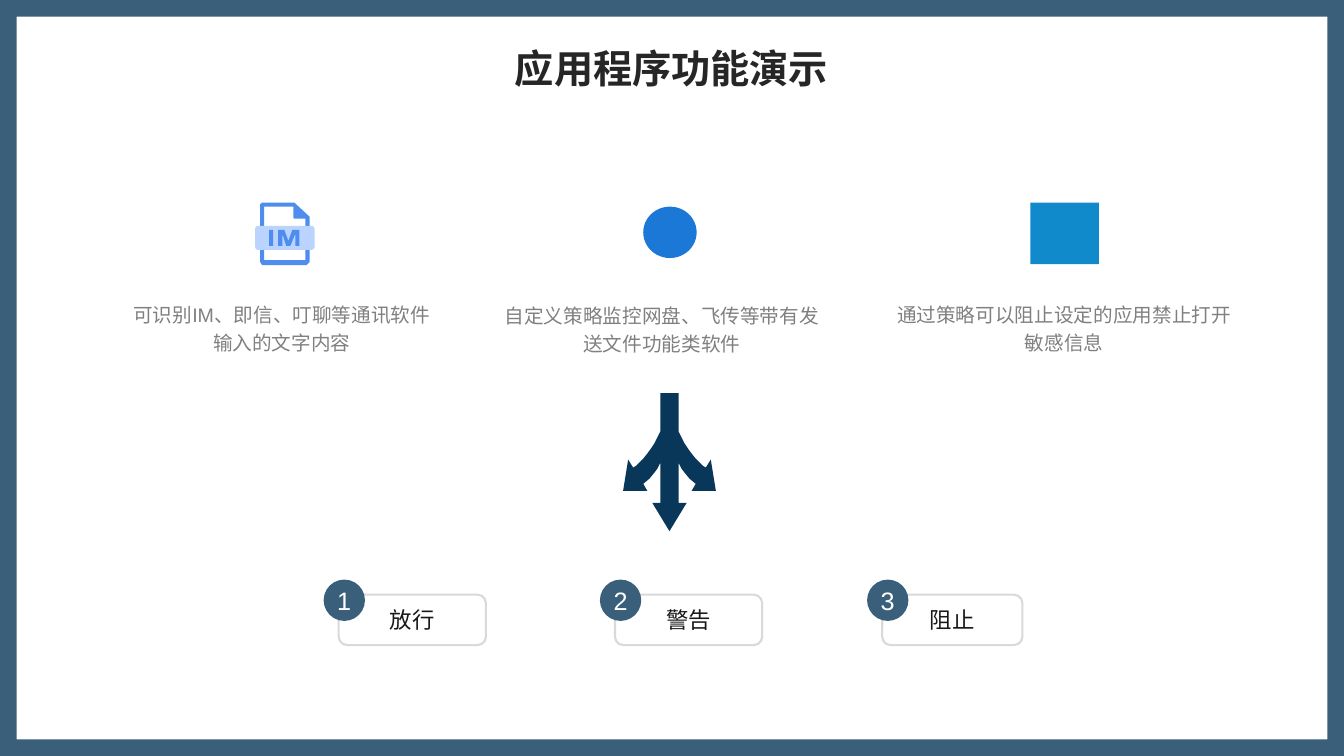
from lxml import etree
from pptx import Presentation
from pptx.dml.color import RGBColor
from pptx.enum import shapes, text
from pptx.oxml import ns
from pptx.util import Inches, Pt

SLATE = RGBColor(0x3A, 0x5F, 0x7A)
NAVY = RGBColor(0x09, 0x37, 0x59)
INK = RGBColor(0x26, 0x26, 0x26)
BLACK = RGBColor(0x18, 0x18, 0x18)
GREY = RGBColor(0x80, 0x80, 0x80)
RULE = RGBColor(0xD9, 0xD9, 0xD9)
WHITE = RGBColor(0xFF, 0xFF, 0xFF)
BLUE = RGBColor(0x4E, 0x8C, 0xEE)
PALE = RGBColor(0xBA, 0xD4, 0xFF)
ROYAL = RGBColor(0x1B, 0x78, 0xD7)
CYAN = RGBColor(0x11, 0x8A, 0xCB)

KIND = shapes.MSO_SHAPE
LATIN, HAN = "Arial", "Noto Sans CJK SC"

CAPTIONS = [
    (1.2, 2.91, 3.19, "可识别IM、即信、叮聊等通讯软件输入的文字内容"),
    (4.87, 2.92, 3.39, "自定义策略监控网盘、飞传等带有发送文件功能类软件"),
    (8.78, 2.91, 3.55, "通过策略可以阻止设定的应用禁止打开敏感信息"),
]
ACTIONS = [(3.36, 1.46, "放行"), (6.1, 1.46, "警告"), (8.75, 1.39, "阻止")]

PAGE = [
    [(2.62, 2.05), (2.91, 2.05), (2.91, 2.16), (2.92, 2.17), (3.03, 2.17),
     (3.03, 2.24), (3.07, 2.24), (3.07, 2.15), (2.93, 2.02), (2.92, 2.01),
     (2.6, 2.01), (2.58, 2.03), (2.58, 2.24), (2.62, 2.24)],
    [(3.03, 2.58), (2.62, 2.58), (2.62, 2.48), (2.58, 2.48), (2.58, 2.6),
     (2.6, 2.63), (3.04, 2.63), (3.07, 2.6), (3.07, 2.48), (3.03, 2.48)],
]
LETTERS = [
    [(2.67, 2.28), (2.71, 2.28), (2.71, 2.44), (2.67, 2.44)],
    [(2.86, 2.39), (2.82, 2.28), (2.76, 2.28), (2.76, 2.44), (2.8, 2.44),
     (2.8, 2.32), (2.84, 2.44), (2.88, 2.44), (2.93, 2.32), (2.93, 2.44),
     (2.97, 2.44), (2.97, 2.28), (2.9, 2.28)],
]

# Left half of the three-way arrow: distance from its axis, height
AXIS = 6.64
HALF = [
    (0.09, 3.9), (0.09, 4.28), (0.12, 4.34), (0.15, 4.4), (0.19, 4.46),
    (0.22, 4.5), (0.26, 4.55), (0.29, 4.58), (0.33, 4.62), (0.36, 4.64),
    (0.41, 4.56), (0.46, 4.87), (0.22, 4.87), (0.26, 4.8), (0.2, 4.75),
    (0.15, 4.69), (0.12, 4.65), (0.09, 4.59), (0.09, 4.99), (0.17, 4.99),
    (0, 5.27),
]


class Deck:
    def __init__(self):
        self.prs = Presentation()
        self.prs.slide_width = Inches(13.33)
        self.prs.slide_height = Inches(7.5)
        self.slide = self.prs.slides.add_slide(self.prs.slide_layouts[5])
        self.items = self.slide.shapes

    def place(self, item, x, y, w, h):
        item.left, item.top = Inches(x), Inches(y)
        item.width, item.height = Inches(w), Inches(h)

    def label(self, item, words, size, color, font=LATIN, bold=False,
              wrap=True, anchor=text.MSO_ANCHOR.MIDDLE):
        """Fill an item with one centred run and return its paragraph."""
        frame = item.text_frame
        frame.word_wrap = wrap
        frame.auto_size = text.MSO_AUTO_SIZE.NONE
        frame.vertical_anchor = anchor
        para = frame.paragraphs[0]
        para.alignment = text.PP_ALIGN.CENTER
        run = para.add_run()
        run.text = words
        run.font.size, run.font.bold = Pt(size), bold
        run.font.name = font
        run.font.color.rgb = color
        east = etree.SubElement(run._r.get_or_add_rPr(), ns.qn("a:ea"))
        east.set("typeface", HAN)
        return para

    def paint(self, item, fill, line=None):
        item.shadow.inherit = False
        item.fill.solid()
        item.fill.fore_color.rgb = fill
        if line is None:
            item.line.fill.background()
        else:
            item.line.color.rgb = line
            item.line.width = Pt(1.5)
        return item

    def title(self, words, x, y, w, h):
        item = self.items.title
        self.place(item, x, y, w, h)
        self.label(item, words, 28, INK, bold=True, wrap=False)

    def shape(self, kind, x, y, w, h, fill, line=None, adj=None):
        item = self.items.add_shape(
            kind, Inches(x), Inches(y), Inches(w), Inches(h))
        if adj is not None:
            item.adjustments[0] = adj
        return self.paint(item, fill, line)

    def outline(self, loops, fill):
        """Draw closed loops of points as one freeform."""
        loops = [[(Inches(x), Inches(y)) for x, y in loop] for loop in loops]
        form = self.items.build_freeform(*loops[0][0], scale=1.0)
        form.add_line_segments(loops[0][1:], close=True)
        for loop in loops[1:]:
            form.move_to(*loop[0])
            form.add_line_segments(loop[1:], close=True)
        return self.paint(form.convert_to_shape(), fill)

    def caption(self, x, y, w, words):
        item = self.items.add_textbox(
            Inches(x), Inches(y), Inches(w), Inches(1.45))
        para = self.label(item, words, 14, GREY, anchor=text.MSO_ANCHOR.TOP)
        para.line_spacing = 1.2

    def action(self, x, w, number, words):
        """Draw a labelled box with a number badge on its corner."""
        y = 5.9
        box = self.shape(KIND.ROUNDED_RECTANGLE, x, y, w, 0.5, WHITE, RULE)
        self.label(box, words, 16, BLACK, font=HAN, wrap=False)
        badge = self.shape(KIND.OVAL, x - 0.15, y - 0.15, 0.41, 0.41, SLATE)
        self.label(badge, str(number), 18, WHITE, wrap=False)


def main():
    deck = Deck()
    deck.shape(KIND.FRAME, 0, 0, 13.33, 7.5, SLATE, adj=0.022)
    deck.title("应用程序功能演示", 4.99, 0.39, 3.34, 0.57)

    deck.outline(PAGE, BLUE)
    deck.shape(KIND.ROUNDED_RECTANGLE, 2.53, 2.24, 0.59, 0.24, PALE, adj=0.14)
    deck.outline(LETTERS, BLUE)
    deck.shape(KIND.OVAL, 6.38, 2.05, 0.53, 0.51, ROYAL)
    deck.shape(KIND.RECTANGLE, 10.22, 2.01, 0.68, 0.61, CYAN)
    for spot in CAPTIONS:
        deck.caption(*spot)

    left = [(AXIS - d, y) for d, y in HALF]
    right = [(AXIS + d, y) for d, y in reversed(HALF[:-1])]
    deck.outline([left + right], NAVY)

    for number, (x, w, words) in enumerate(ACTIONS, 1):
        deck.action(x, w, number, words)
    deck.prs.save("out.pptx")


if __name__ == "__main__":
    main()
